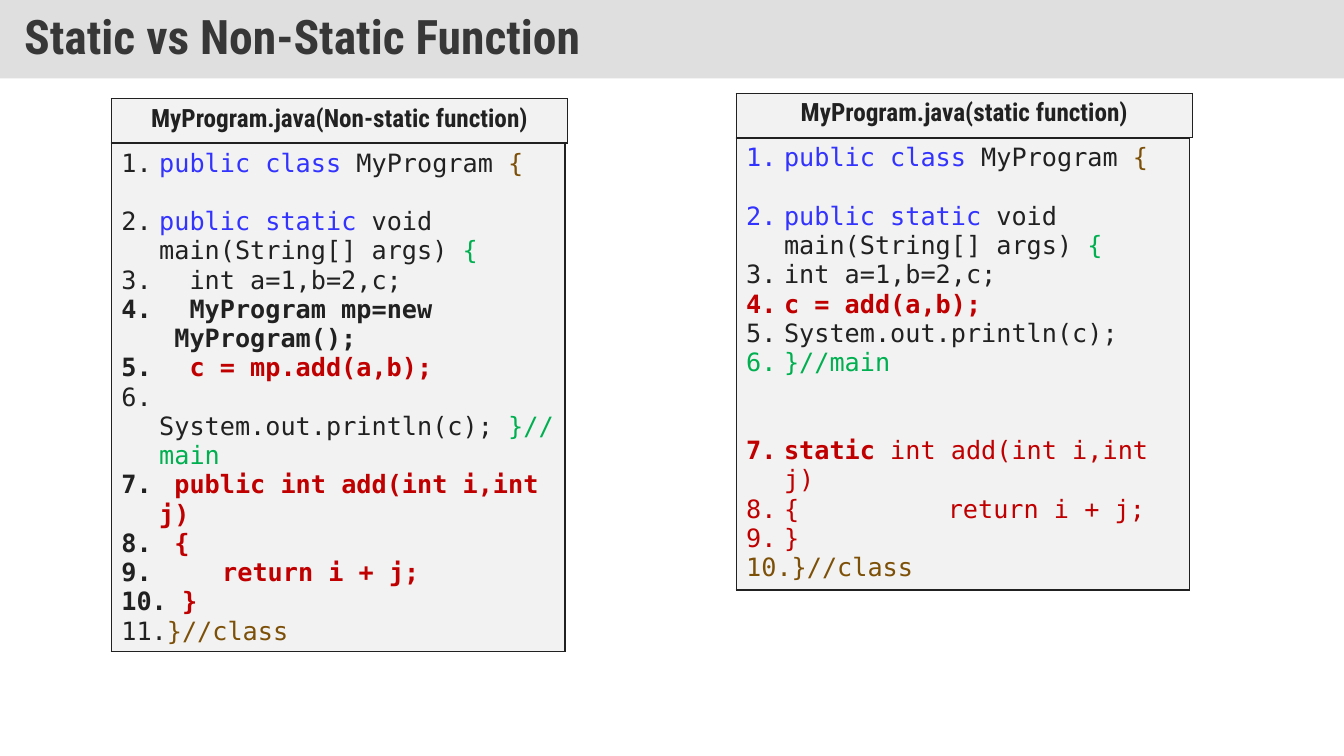
from lxml import etree
from pptx import Presentation
from pptx.dml.color import RGBColor
from pptx.enum.text import MSO_ANCHOR, MSO_AUTO_SIZE, PP_ALIGN
from pptx.oxml.ns import qn
from pptx.util import Pt

LEFT, CENTER = PP_ALIGN.LEFT, PP_ALIGN.CENTER
MIDDLE, NO_AUTOFIT = MSO_ANCHOR.MIDDLE, MSO_AUTO_SIZE.NONE

THEME = {
    "keyword": "3333FF", "plain": "212121", "class": "7D5008",
    "main": "00B050", "function": "C00000",
    "title": "373737", "bar": "C0C0C0", "panel": "F2F2F2",
    "heading_font": "Roboto Condensed", "code_font": "DejaVu Sans Mono",
    "title_size": 34, "text_size": 18,
}

TITLE = "Static vs Non-Static Function"
CLASS_LINE = [("public class ", "keyword"), ("MyProgram ", "plain"), ("{", "class")]
MAIN_LINE = [("public static ", "keyword"), ("void main(String[] args) ", "plain"),
             ("{", "main")]

# A line is (runs, options); a run is (text, colour name[, bold]).
# Options: inset in characters, blank lines after, break after the first run,
# first number.
NON_STATIC_CODE = [
    (CLASS_LINE, {"gap": 1}),
    (MAIN_LINE, {}),
    ([("int a=1,b=2,c;", "plain")], {"inset": 2}),
    ([(" MyProgram mp=new MyProgram();", "plain", True)], {"inset": 1}),
    ([("c = mp.add(a,b);", "function", True)], {"inset": 2}),
    ([(" ", "plain"), ("System.out.println(c); ", "plain"), ("}//main", "main")],
     {"break": True}),
    ([(" public int add(int i,int j)", "function", True)], {}),
    ([(" {", "function", True)], {}),
    ([("\t\treturn i + j;", "function", True)], {}),
    ([(" }", "function", True)], {}),
    ([("}//class", "class")], {}),
]
STATIC_CODE = [
    (CLASS_LINE, {"gap": 1}),
    (MAIN_LINE, {}),
    ([("int a=1,b=2,c;", "plain")], {}),
    ([("c = add(a,b);", "function", True)], {}),
    ([("System.out.println(c);", "plain")], {}),
    ([("}//main", "main")], {"gap": 2}),
    ([("static ", "function", True), ("int add(int i,int j)", "function")], {"start": 7}),
    ([("{\t\t\treturn i + j;", "function")], {"start": 7}),
    ([("}", "function")], {"start": 7}),
    ([("}//class", "class")], {"start": 7}),
]
PANELS = [
    {"heading": "MyProgram.java(Non-static function)", "code": NON_STATIC_CODE,
     "left": 79.5, "top": 70.5, "code_height": 321, "number_color": "plain"},
    {"heading": "MyProgram.java(static function)", "code": STATIC_CODE,
     "left": 525.8, "top": 66.7, "code_height": 322.5, "number_color": None},
]

SLIDE_WIDTH, SLIDE_HEIGHT, BAR_HEIGHT = 960, 540, 56
HEADING_WIDTH, HEADING_HEIGHT = 326, 31.7
CODE_WIDTH, CODE_OFFSET = 324, 32.2
NUMBER_WIDTH, CHARACTER_WIDTH, LINE_HEIGHT = 27, 10.84, 20.95


def color(name):
    return RGBColor.from_string(THEME[name])


def set_values(target, values):
    for name, value in values.items():
        setattr(target, name, value)


def add_run(paragraph, text, color_name, bold, font="code_font", size="text_size"):
    run = paragraph.add_run()
    run.text = text
    set_values(run.font, {"name": THEME[font], "size": Pt(THEME[size]), "bold": bold})
    run.font.color.rgb = color(color_name)


def add_solid_fill(parent, color_name):
    fill = etree.SubElement(parent, qn("a:solidFill"))
    etree.SubElement(fill, qn("a:srgbClr"), val=THEME[color_name])


def add_panel(slide, left, top, width, height):
    """Add a bordered one-cell table and return its cell."""
    table = slide.shapes.add_table(1, 1, Pt(left), Pt(top), Pt(width), Pt(height)).table
    set_values(table, {"first_row": False, "horz_banding": False})
    cell = table.cell(0, 0)
    properties = cell._tc.get_or_add_tcPr()
    for side in ("lnL", "lnR", "lnT", "lnB"):
        border = etree.SubElement(properties, qn("a:" + side), w=str(Pt(1)))
        add_solid_fill(border, "plain")
    cell.fill.solid()
    cell.fill.fore_color.rgb = color("panel")
    return cell


def number_line(paragraph, options, number_color):
    """Hang an automatic line number to the left of the code."""
    paragraph.space_after = Pt(options.get("gap", 0) * LINE_HEIGHT)
    indent = Pt(NUMBER_WIDTH + options.get("inset", 0) * CHARACTER_WIDTH)
    properties = paragraph._p.get_or_add_pPr()
    properties.set("marL", str(indent))
    properties.set("indent", str(-indent))
    if number_color:
        bullet_color = etree.SubElement(properties, qn("a:buClr"))
        etree.SubElement(bullet_color, qn("a:srgbClr"), val=THEME[number_color])
    etree.SubElement(properties, qn("a:buFont"), typeface=THEME["code_font"])
    numbering = etree.SubElement(properties, qn("a:buAutoNum"), type="arabicPeriod")
    if "start" in options:
        numbering.set("startAt", str(options["start"]))


def add_code_break(paragraph):
    """Break the line at the size and font of the code."""
    paragraph.add_line_break()
    line_break = paragraph._p.find(qn("a:br"))
    run_format = etree.SubElement(line_break, qn("a:rPr"),
                                  sz=str(THEME["text_size"] * 100))
    add_solid_fill(run_format, "plain")
    etree.SubElement(run_format, qn("a:latin"), typeface=THEME["code_font"])


def write_code(cell, lines, number_color):
    frame = cell.text_frame
    for index, (runs, options) in enumerate(lines):
        paragraph = frame.add_paragraph() if index else frame.paragraphs[0]
        number_line(paragraph, options, number_color)
        for position, (text, color_name, *bold) in enumerate(runs):
            if position == 1 and options.get("break"):
                add_code_break(paragraph)
            add_run(paragraph, text, color_name, bool(bold))


def add_title(slide):
    title = slide.shapes.title
    set_values(title, {"left": 0, "top": 0, "width": Pt(SLIDE_WIDTH),
                       "height": Pt(BAR_HEIGHT)})
    title.fill.solid()
    title.fill.fore_color.rgb = color("bar")
    bar_color = title._element.spPr.find(qn("a:solidFill"))[0]
    etree.SubElement(bar_color, qn("a:alpha"), val="50000")
    frame = title.text_frame
    set_values(frame, {"margin_left": Pt(17.3), "margin_right": Pt(17.3),
                       "margin_top": Pt(8.6), "margin_bottom": Pt(8.6),
                       "vertical_anchor": MIDDLE, "word_wrap": True,
                       "auto_size": NO_AUTOFIT})
    paragraph = frame.paragraphs[0]
    set_values(paragraph, {"alignment": LEFT, "line_spacing": 0.9})
    add_run(paragraph, TITLE, "title", True, "heading_font", "title_size")


def main():
    presentation = Presentation()
    set_values(presentation, {"slide_width": Pt(SLIDE_WIDTH),
                              "slide_height": Pt(SLIDE_HEIGHT)})
    slide = presentation.slides.add_slide(presentation.slide_layouts[5])
    add_title(slide)
    for panel in PANELS:
        left, top = panel["left"], panel["top"]
        heading = add_panel(slide, left, top, HEADING_WIDTH, HEADING_HEIGHT)
        paragraph = heading.text_frame.paragraphs[0]
        paragraph.alignment = CENTER
        add_run(paragraph, panel["heading"], "plain", True, "heading_font")
        code = add_panel(slide, left, top + CODE_OFFSET, CODE_WIDTH, panel["code_height"])
        write_code(code, panel["code"], panel["number_color"])
    presentation.save("out.pptx")


if __name__ == "__main__":
    main()
